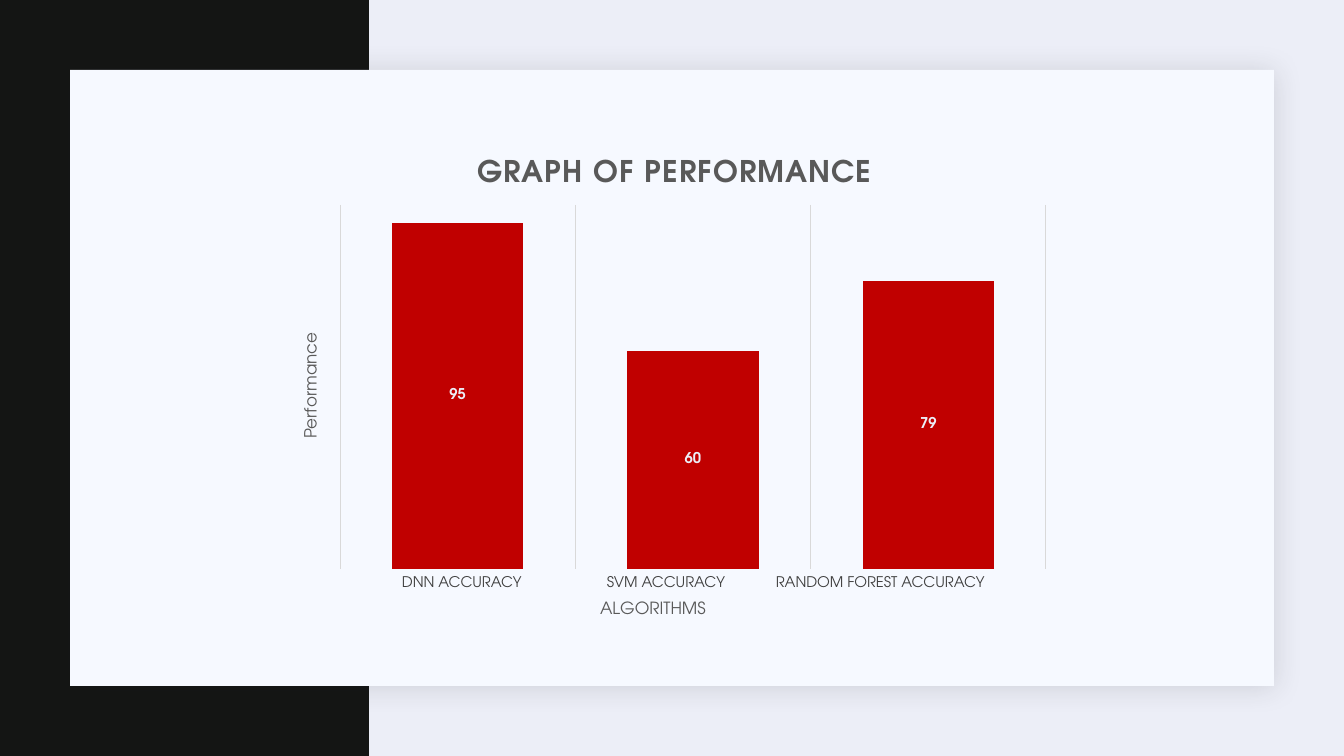
from dataclasses import dataclass

from lxml import etree
from pptx import Presentation
from pptx import util as u
from pptx.chart.data import CategoryChartData
from pptx.dml.color import RGBColor
from pptx.enum import chart as ch
from pptx.enum import shapes, text
from pptx.oxml import parse_xml
from pptx.oxml.ns import nsdecls, qn

W, H = 1344, 756
FONT = "TeX Gyre Adventor"
PALE, GREY, RED = "ECEEF7", "595959", "C00000"


@dataclass
class Box:
    x: int
    y: int
    w: int
    h: int


@dataclass
class Label:
    text: str
    box: Box


CHART = Box(281, 135, 781, 488)
PLOT = Box(340, 205, 706, 365)
PANELS = [(Box(0, 0, 369, H), "141514"), (Box(70, 70, 1204, 616), "F6F9FF")]
LABELS = [
    Label("RANDOM FOREST ACCURACY", Box(766, 568, 250, 26)),
    Label("SVM ACCURACY", Box(597, 568, 150, 26)),
    Label("DNN ACCURACY", Box(392, 568, 150, 26)),
]


def px(n: int) -> u.Emu:
    return u.Emu(round(n * 12192000 / W))


def place(box: Box) -> tuple:
    return px(box.x), px(box.y), px(box.w), px(box.h)


def rgb(color: str) -> RGBColor:
    return RGBColor.from_string(color)


def style(font, size: float, color: str, bold: bool = False) -> None:
    font.name, font.size, font.bold = FONT, u.Pt(size), bold
    font.color.rgb = rgb(color)


def add_panel(s, box: Box, color: str):
    sp = s.shapes.add_shape(shapes.MSO_SHAPE.RECTANGLE, *place(box))
    sp.shadow.inherit = False
    sp.fill.solid()
    sp.fill.fore_color.rgb = rgb(color)
    sp.line.fill.background()
    return sp


def add_soft_shadow(sp) -> None:
    effects = sp.element.spPr.find(qn("a:effectLst"))
    effects.append(parse_xml(
        f'<a:outerShdw {nsdecls("a")} blurRad="254000" dist="25400" dir="2700000">'
        '<a:srgbClr val="1F2125"><a:alpha val="15000"/></a:srgbClr></a:outerShdw>'))


def set_layout(parent, index: int, x: int, y: int, w: int = 0, h: int = 0) -> None:
    """Fix a chart part at slide pixels, as shares of the chart frame."""
    for old in parent.findall(qn("c:layout")):
        parent.remove(old)
    layout = parse_xml(f'<c:layout {nsdecls("c")}><c:manualLayout/></c:layout>')
    values = {"xMode": "edge", "yMode": "edge",
              "x": (x - CHART.x) / CHART.w, "y": (y - CHART.y) / CHART.h}
    if w:
        values = {"layoutTarget": "inner", **values,
                  "w": w / CHART.w, "h": h / CHART.h}
    for tag, value in values.items():
        etree.SubElement(layout[0], qn(f"c:{tag}")).set("val", str(value))
    parent.insert(index, layout)


def set_title(title, words: str, size: float, x: int, y: int, bold: bool = False):
    p = title.text_frame.paragraphs[0]
    p.text = words
    style(p.runs[0].font, size, GREY, bold)
    set_layout(title.element, 1, x, y)
    return p.runs[0]


def add_performance_chart(s) -> None:
    data = CategoryChartData()
    data.categories = ["1", "2", "3"]
    data.add_series("Series 1", [95, 60, 79])
    chart = s.shapes.add_chart(
        ch.XL_CHART_TYPE.COLUMN_STACKED, *place(CHART), data).chart
    style(chart.font, 10, "000000")
    chart.has_legend = False
    set_layout(chart.element.xpath("c:chart/c:plotArea")[0], 0,
               PLOT.x, PLOT.y, PLOT.w, PLOT.h)

    # Columns and their values
    plot = chart.plots[0]
    plot.gap_width, plot.overlap, plot.vary_by_categories = 79, 100, False
    fill = plot.series[0].format.fill
    fill.solid()
    fill.fore_color.rgb = rgb(RED)
    plot.has_data_labels = True
    plot.data_labels.show_value = True
    plot.data_labels.position = ch.XL_LABEL_POSITION.CENTER
    style(plot.data_labels.font, 10.6, PALE, True)

    # Hidden axes, with lines between the categories
    cat, val = chart.category_axis, chart.value_axis
    cat.visible = val.visible = False
    val.has_major_gridlines = False
    val.minimum_scale, val.maximum_scale = 0, 100
    cat.has_major_gridlines = True
    line = cat.major_gridlines.format.line
    line.width = u.Pt(0.75)
    line.color.rgb = rgb("D9D9D9")

    # Titles
    chart.has_title = True
    r = set_title(chart.chart_title, "GRAPH OF PERFORMANCE", 21.3, 472, 152, True)
    r.font._element.set("spc", "100")
    set_title(cat.axis_title, "ALGORITHMS", 12, 597, 598)
    set_title(val.axis_title, "Performance", 12, 299, 330)
    body = val.axis_title.element.xpath(".//a:bodyPr")[0]
    body.set("rot", "-5400000")
    body.set("vert", "horz")


def add_label(s, label: Label) -> None:
    tf = s.shapes.add_textbox(*place(label.box)).text_frame
    tf.word_wrap = True
    tf.vertical_anchor = text.MSO_ANCHOR.TOP
    p = tf.paragraphs[0]
    p.text = label.text
    p.space_after = u.Pt(2)
    style(p.runs[0].font, 10.5, "404040")


def main() -> None:
    prs = Presentation()
    prs.slide_width, prs.slide_height = px(W), px(H)
    s = prs.slides.add_slide(prs.slide_layouts[6])
    s.background.fill.solid()
    s.background.fill.fore_color.rgb = rgb(PALE)

    # Dark side band and card
    band, card = [add_panel(s, box, color) for box, color in PANELS]
    add_soft_shadow(card)

    # Chart and category names
    add_performance_chart(s)
    for label in LABELS:
        add_label(s, label)
    prs.save("out.pptx")


if __name__ == "__main__":
    main()
